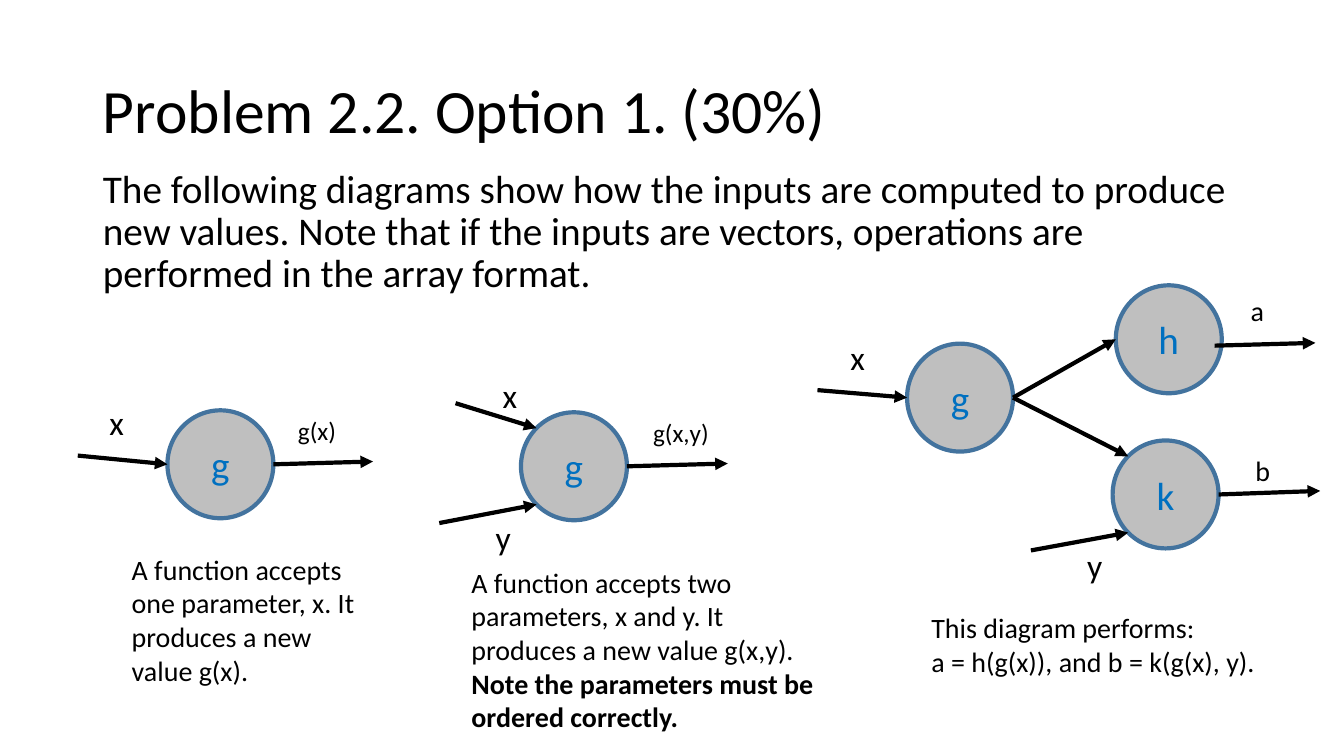
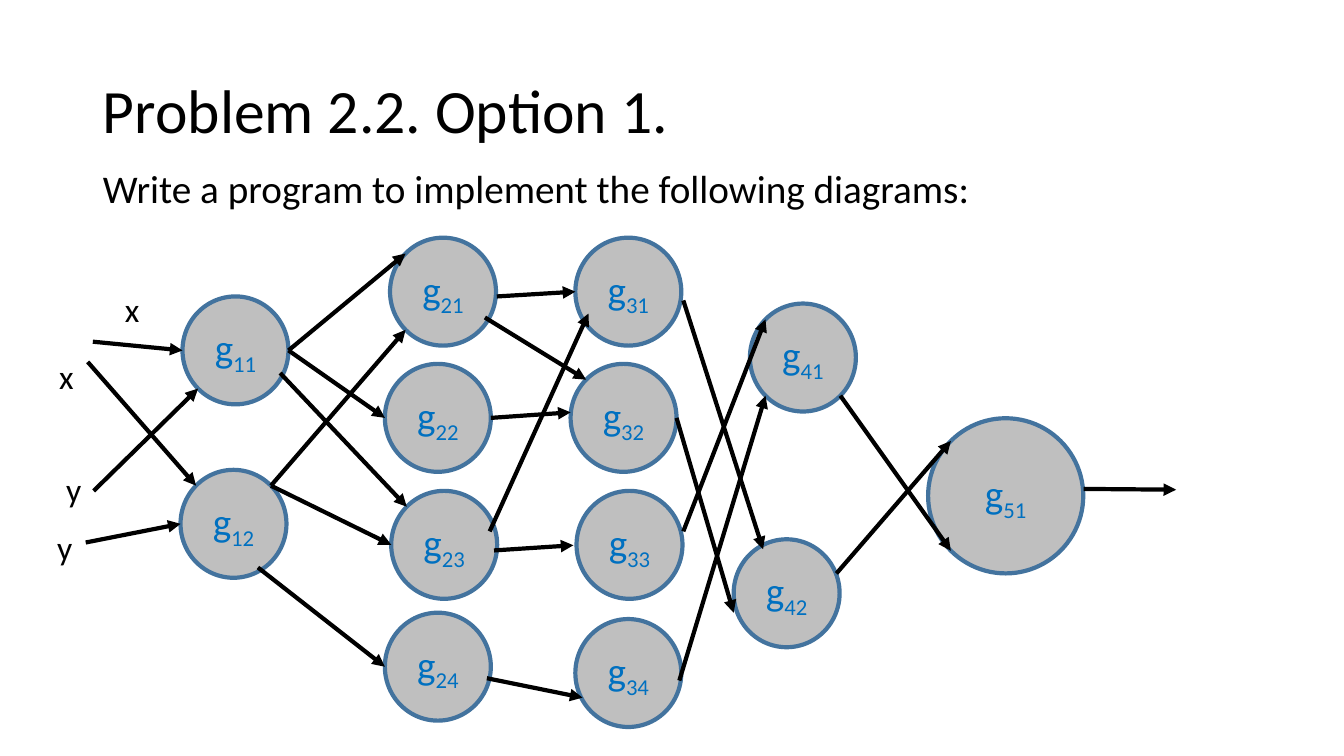
from lxml.etree import SubElement
from pptx import Presentation
from pptx.dml.color import RGBColor
from pptx.enum.shapes import MSO_CONNECTOR, MSO_SHAPE
from pptx.enum.text import MSO_ANCHOR, MSO_AUTO_SIZE, PP_ALIGN
from pptx.oxml.ns import qn
from pptx.util import Cm, Pt

BLACK = RGBColor(0x00, 0x00, 0x00)
NODE_FILL = RGBColor(0xBF, 0xBF, 0xBF)
NODE_LINE = RGBColor(0x43, 0x73, 0x9E)
NODE_TEXT = RGBColor(0x00, 0x70, 0xC0)
FONT = "Calibri"

# All positions and sizes below are in centimetres.
NODE = (2.67, 2.72)
BIG_NODE = (3.91, 3.91)
LETTER = (0.89, 1.27)
DIAGONAL = 0.707
SIDES = {
    "e": (1, 0), "w": (-1, 0),
    "ne": (DIAGONAL, -DIAGONAL), "nw": (-DIAGONAL, -DIAGONAL),
    "se": (DIAGONAL, DIAGONAL), "sw": (-DIAGONAL, DIAGONAL),
}

# Nodes: key -> (label, left, top, size). An arrow end is a point or "key side".
# Texts: (text, size in points, left, top, (width, height)); ** marks bold.
PAGES = [
    {
        "title": "Problem 2.2. Option 1. (30%)",
        "body": "The following diagrams show how the inputs are computed to produce "
                "new values. Note that if the inputs are vectors, operations are "
                "performed in the array format.",
        "nodes": {
            "one": ("g", 4.22, 10.34, NODE),
            "two": ("g", 13.13, 10.39, NODE),
            "g": ("g", 22.86, 8.66, NODE),
            "h": ("h", 28.12, 7.19, NODE),
            "k": ("k", 28.04, 11.1, NODE),
        },
        "arrows": [
            ((1.96, 11.48), "one w"),
            ("one e", (9.4, 11.63)),
            ((11.48, 10.16), "two nw"),
            ((11.07, 13.18), "two sw"),
            ("two e", (18.34, 11.68)),
            ((20.6, 9.83), "g w"),
            ("g e", "h w"),
            ("g e", "k nw"),
            ((25.98, 13.87), "k sw"),
            ((30.61, 8.71), (33.15, 8.64)),
            ("k e", (33.27, 12.37)),
        ],
        "texts": [
            ("x", 24, 2.51, 10.01, LETTER),
            ("g(x)", 18, 7.26, 10.34, (1.47, 1.02)),
            ("x", 24, 12.42, 9.32, LETTER),
            ("y", 24, 12.24, 12.9, LETTER),
            ("g(x,y)", 18, 16.21, 10.39, (1.93, 1.02)),
            ("x", 24, 21.18, 8.36, LETTER),
            ("y", 24, 27.15, 13.61, LETTER),
            ("a", 20, 31.27, 7.26, (0.86, 1.12)),
            ("b", 20, 31.39, 11.3, (0.89, 1.12)),
            ("A function accepts one parameter, x. It produces a new value g(x).",
             20, 3.07, 13.79, (6.32, 3.68)),
            ("A function accepts two parameters, x and y. It produces a new value "
             "g(x,y). **Note the parameters must be ordered correctly.",
             20, 11.63, 14.12, (9.25, 4.52)),
            ("This diagram performs:\na = h(g(x)), and b = k(g(x), y).",
             20, 23.22, 15.27, (9.45, 1.96)),
        ],
    },
    {
        "title": "Problem 2.2. Option 1.",
        "body": "Write a program to implement the following diagrams:",
        "nodes": {
            "g11": ("g11", 4.6, 7.47, NODE),
            "g12": ("g12", 4.55, 11.84, NODE),
            "g21": ("g21", 9.83, 5.99, NODE),
            "g22": ("g22", 9.7, 9.17, NODE),
            "g23": ("g23", 9.86, 12.37, NODE),
            "g24": ("g24", 9.7, 15.44, NODE),
            "g31": ("g31", 14.5, 5.99, NODE),
            "g32": ("g32", 14.38, 9.17, NODE),
            "g33": ("g33", 14.53, 12.37, NODE),
            "g34": ("g34", 14.5, 15.6, NODE),
            "g41": ("g41", 18.9, 7.65, NODE),
            "g42": ("g42", 18.49, 13.59, NODE),
            "g51": ("g51", 23.39, 10.54, BIG_NODE),
        },
        "arrows": [
            ((2.34, 8.61), "g11 w"),
            ((2.36, 12.37), "g11 sw"),
            ((2.21, 9.12), "g12 nw"),
            ((2.16, 13.67), "g12 w"),
            ("g11 e", "g21 nw"),
            ("g11 e", "g22 w"),
            ((7.06, 9.4), "g23 nw"),
            ("g12 ne", "g21 sw"),
            ("g12 ne", "g23 w"),
            ((6.5, 14.3), "g24 w"),
            ((12.52, 7.47), "g31 w"),
            ((12.22, 8), "g32 nw"),
            ("g22 e", (14.38, 10.39)),
            ((12.34, 13.39), (14.83, 7.9)),
            ((12.45, 13.87), (14.45, 13.74)),
            ((12.27, 17.09), (14.68, 17.58)),
            ((17.22, 7.57), (19.23, 13.84)),
            ("g32 e", (18.49, 15.44)),
            ((17.22, 13.39), "g41 nw"),
            ((17.12, 17.15), "g41 sw"),
            ("g41 se", "g51 sw"),
            ((21.08, 14.45), "g51 nw"),
            ((27.31, 12.32), (29.64, 12.34)),
        ],
        "texts": [
            ("x", 24, 2.9, 7.16, LETTER),
            ("x", 24, 1.24, 8.84, LETTER),
            ("y", 24, 1.42, 11.68, LETTER),
            ("y", 24, 1.19, 13.16, LETTER),
        ],
    },
]


def style(font, size, color):
    font.name = FONT
    font.size = Pt(size)
    font.color.rgb = color


def locate(end, nodes):
    """Return the point in cm of an arrow end, on a node's rim if it names one."""
    if not isinstance(end, str):
        return end
    key, side = end.split()
    label, left, top, (width, height) = nodes[key]
    across, down = SIDES[side]
    return left + width / 2 * (1 + across), top + height / 2 * (1 + down)


deck = Presentation()
deck.slide_width, deck.slide_height = Cm(33.87), Cm(19.05)
layout = deck.slide_layouts[1]

for content in PAGES:
    page = deck.slides.add_slide(layout)
    nodes = content["nodes"]

    title, body = page.shapes.title, page.placeholders[1]
    for holder, text, size, top, height in (
        (title, content["title"], 44, 1.01, 3.68),
        (body, content["body"], 28, 4.14, 12.09),
    ):
        holder.left, holder.top = Cm(2.34), Cm(top)
        holder.width, holder.height = Cm(29.21), Cm(height)
        frame = holder.text_frame
        frame.text = text
        frame.auto_size = MSO_AUTO_SIZE.NONE
        para = frame.paragraphs[0]
        para.alignment = PP_ALIGN.LEFT
        para.line_spacing = 0.9
        para.space_before = Pt(0)
        properties = para._p.get_or_add_pPr()
        properties.set("marL", "0")
        properties.set("indent", "0")
        SubElement(properties, qn("a:buNone"))
        style(para.runs[0].font, size, BLACK)
    title.text_frame.vertical_anchor = MSO_ANCHOR.MIDDLE
    body.text_frame.vertical_anchor = MSO_ANCHOR.TOP

    for label, left, top, (width, height) in nodes.values():
        node = page.shapes.add_shape(
            MSO_SHAPE.OVAL, Cm(left), Cm(top), Cm(width), Cm(height))
        node.shadow.inherit = False
        node.fill.solid()
        node.fill.fore_color.rgb = NODE_FILL
        node.line.color.rgb = NODE_LINE
        node.line.width = Pt(3)
        node.text_frame.vertical_anchor = MSO_ANCHOR.MIDDLE
        para = node.text_frame.paragraphs[0]
        para.alignment = PP_ALIGN.CENTER
        for part in filter(None, (label[:1], label[1:])):
            span = para.add_run()
            span.text = part
            style(span.font, 28, NODE_TEXT)
            if part.isdigit():
                span.font._element.set("baseline", "-25000")

    for start, end in content["arrows"]:
        points = locate(start, nodes) + locate(end, nodes)
        arrow = page.shapes.add_connector(
            MSO_CONNECTOR.STRAIGHT, *[Cm(value) for value in points])
        arrow.line.color.rgb = BLACK
        arrow.line.width = Pt(3)
        SubElement(arrow.line._get_or_add_ln(), qn("a:tailEnd"), type="triangle")
        SubElement(arrow._element.spPr, qn("a:effectLst"))

    for text, size, left, top, (width, height) in content["texts"]:
        box = page.shapes.add_textbox(Cm(left), Cm(top), Cm(width), Cm(height))
        frame = box.text_frame
        frame.word_wrap = width > 5
        for index, line in enumerate(text.split("\n")):
            para = frame.add_paragraph() if index else frame.paragraphs[0]
            for position, part in enumerate(line.split("**")):
                span = para.add_run()
                span.text = part
                style(span.font, size, BLACK)
                if position % 2:
                    span.font.bold = True

deck.save("out.pptx")
